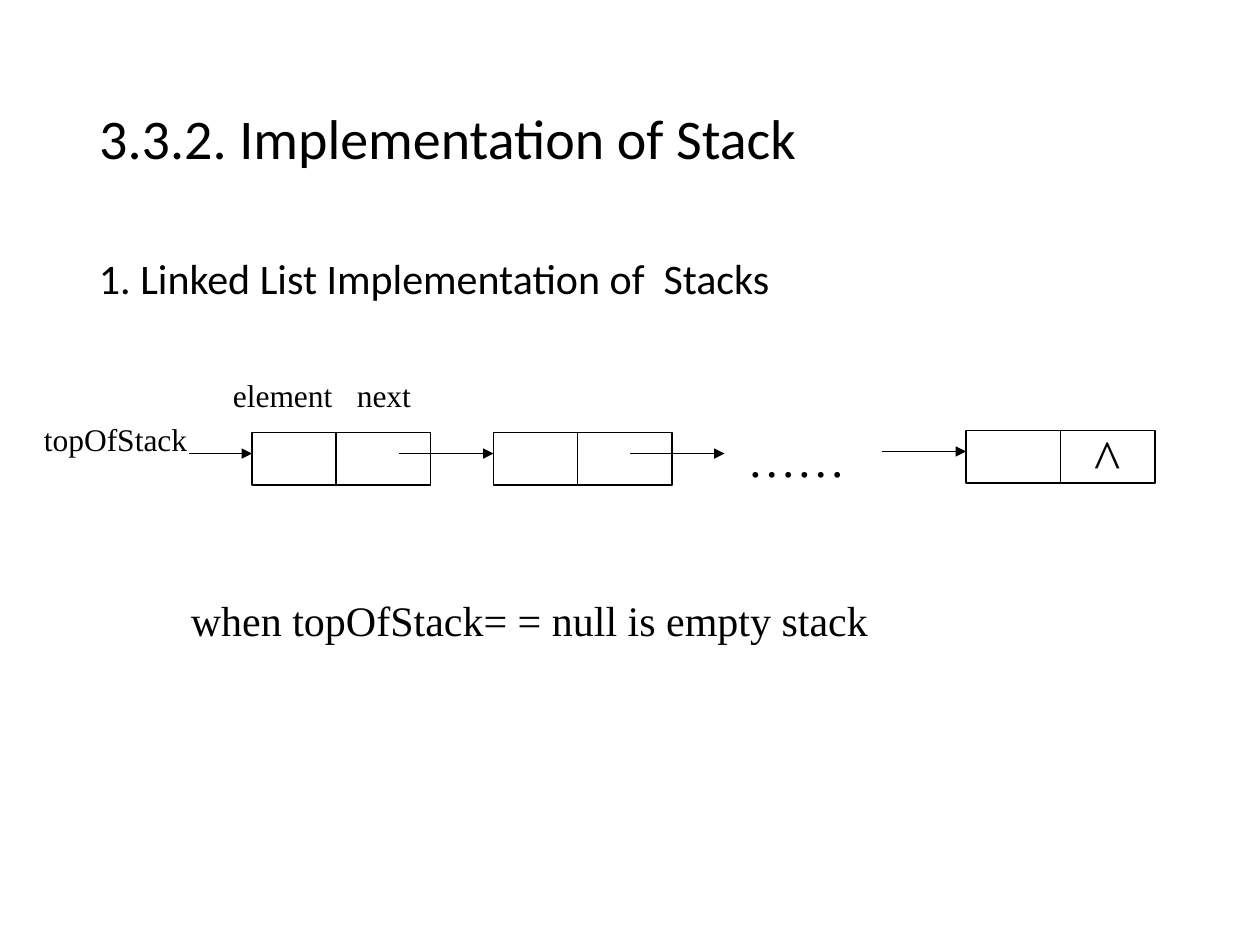
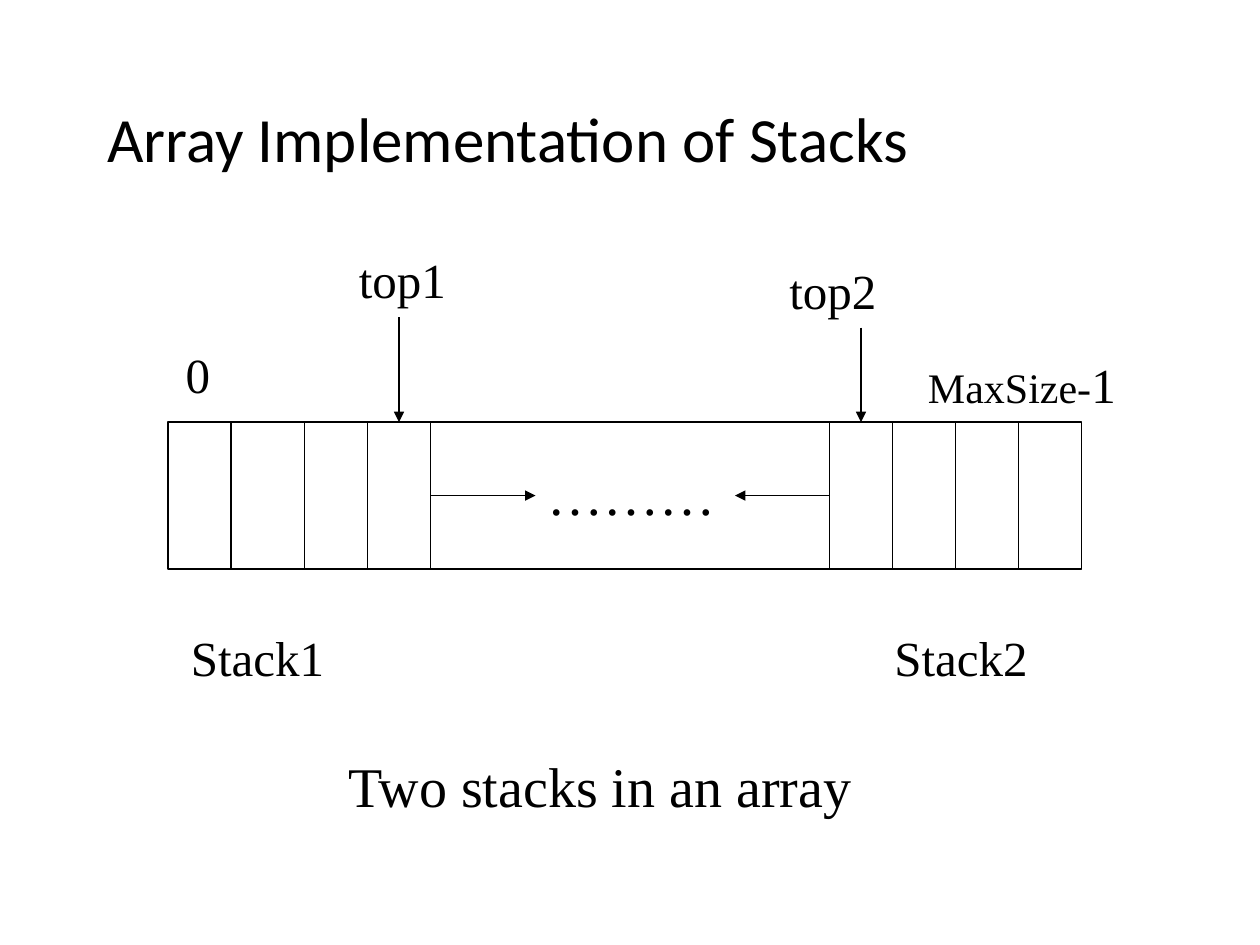
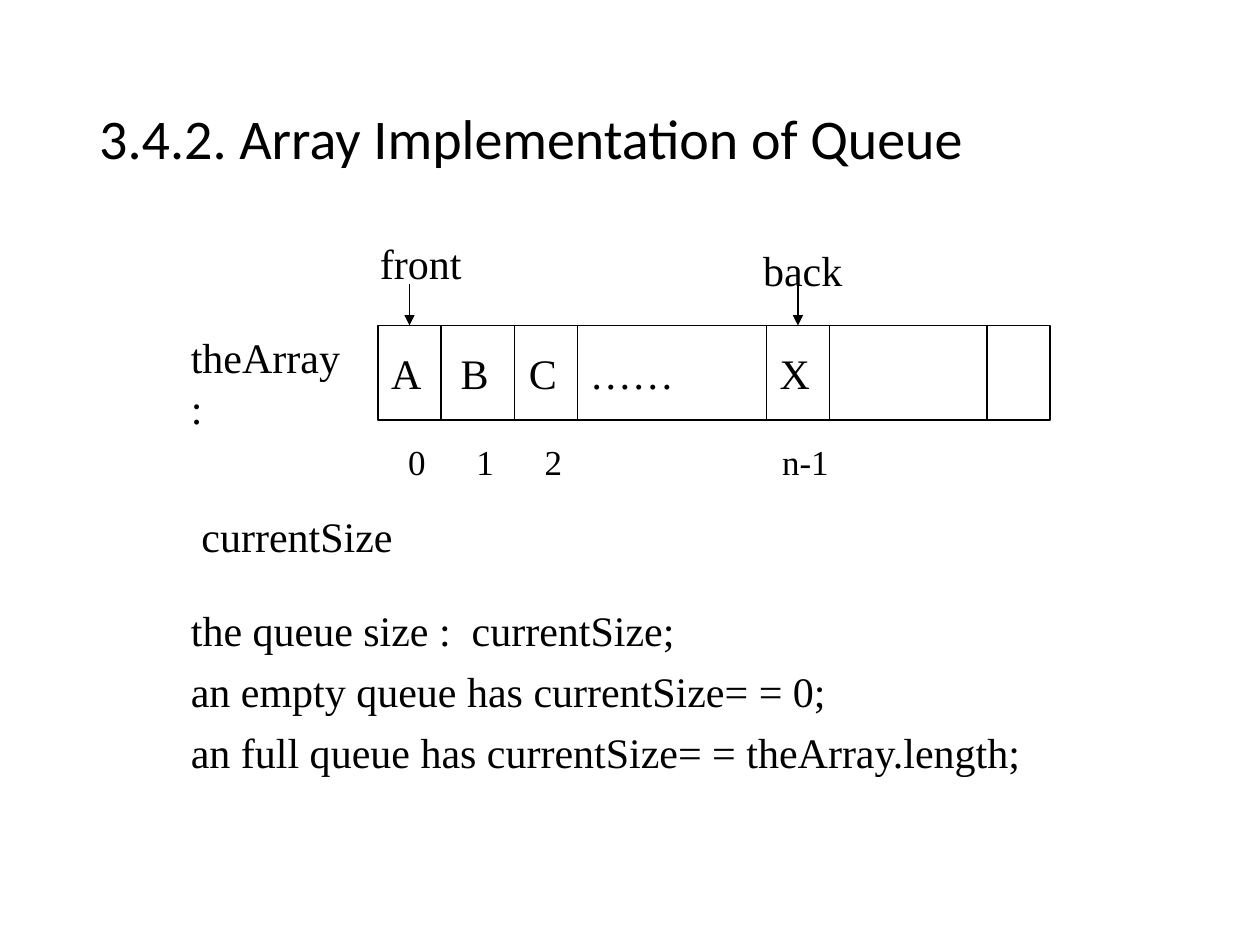
from dataclasses import dataclass
from itertools import accumulate

from lxml import etree
from pptx import Presentation
from pptx.dml.color import RGBColor
from pptx.enum.shapes import MSO_CONNECTOR, MSO_SHAPE
from pptx.enum.text import MSO_ANCHOR, PP_ALIGN
from pptx.oxml.ns import qn
from pptx.util import Inches, Pt

RECT, STRAIGHT = MSO_SHAPE.RECTANGLE, MSO_CONNECTOR.STRAIGHT
LEFT, CENTER = PP_ALIGN.LEFT, PP_ALIGN.CENTER
TOP, MIDDLE = MSO_ANCHOR.TOP, MSO_ANCHOR.MIDDLE
TITLE_ONLY = 5
COLS, ROWS = 120, 90
SLIDE_W, SLIDE_H = Inches(10), Inches(7.5)


@dataclass(frozen=True)
class Theme:
    ink: RGBColor = RGBColor(0, 0, 0)
    heading: str = "Calibri"
    body: str = "Times New Roman"
    big_title: int = 36
    title: int = 32
    large: int = 32
    medium: int = 28
    text: int = 24
    index: int = 20
    small: int = 18
    stroke: float = 0.75
    heading_spacing: float = 0.9


THEME = Theme()


@dataclass(frozen=True)
class Box:
    """An area in grid columns and rows."""
    left: float
    top: float
    width: float
    height: float

    def sub(self, dx, dy, width, height):
        return Box(self.left + dx, self.top + dy, width, height)

    def emu(self):
        return (*point(self.left, self.top), *point(self.width, self.height))


TITLE_BOX = Box(8.25, 4.8, 103.5, 17.4)


def point(col, row):
    return round(SLIDE_W * col / COLS), round(SLIDE_H * row / ROWS)


# Shared parts
def style_runs(p, size, font=THEME.body):
    for r in p.runs:
        r.font.name, r.font.size = font, Pt(size)
        r.font.color.rgb = THEME.ink


def add_slide(prs, title, size=THEME.title, box=TITLE_BOX):
    slide = prs.slides.add_slide(prs.slide_layouts[TITLE_ONLY])
    sp = slide.shapes.title
    sp.left, sp.top, sp.width, sp.height = box.emu()
    tf = sp.text_frame
    tf.text = title
    tf.vertical_anchor = MIDDLE
    p = tf.paragraphs[0]
    p.alignment, p.line_spacing = LEFT, THEME.heading_spacing
    style_runs(p, size, THEME.heading)
    return slide


def add_label(slide, text, box, size, font=THEME.body, align=LEFT, anchor=TOP, wrap=True):
    tf = slide.shapes.add_textbox(*box.emu()).text_frame
    tf.word_wrap, tf.vertical_anchor = wrap, anchor
    tf.text = text
    for p in tf.paragraphs:
        p.alignment = align
        style_runs(p, size, font)
    return tf


def add_line(slide, start, end, arrow=False):
    line = slide.shapes.add_connector(STRAIGHT, *point(*start), *point(*end))
    line.line.color.rgb, line.line.width = THEME.ink, Pt(THEME.stroke)
    if arrow:
        etree.SubElement(line.line._get_or_add_ln(), qn("a:tailEnd"), type="triangle")
    etree.SubElement(line._element.spPr, qn("a:effectLst"))


def add_strip(slide, box, widths):
    """Draw a row of cells and return the box of each cell."""
    sp = slide.shapes.add_shape(RECT, *box.emu())
    sp.shadow.inherit = False
    sp.fill.background()
    sp.line.color.rgb, sp.line.width = THEME.ink, Pt(THEME.stroke)
    starts = [0, *accumulate(widths)][:-1]
    cells = [box.sub(x, 0, w, box.height) for x, w in zip(starts, widths)]
    for cell in cells[1:]:
        add_line(slide, (cell.left, cell.top), (cell.left, cell.top + cell.height))
    return cells


def add_pointer(slide, cell, length):
    x = cell.left + cell.width / 2
    add_line(slide, (x, cell.top - length), (x, cell.top), arrow=True)


# Linked list
def draw_linked_list(slide, box):
    nodes = [(21, 0.2, (8, 9)), (44, 0.2, (8, 9)), (89, 0, (9, 9))]
    for x, y, widths in nodes:
        cells = add_strip(slide, box.sub(x, 6 + y, sum(widths), 5), widths)
    add_label(slide, "^", cells[-1], THEME.large, align=CENTER, anchor=MIDDLE, wrap=False)

    for start, end, y in [(15, 21, 8.2), (35, 44, 8.2), (57, 66, 8.2), (81, 89, 8)]:
        row = box.top + y
        add_line(slide, (box.left + start, row), (box.left + end, row), arrow=True)

    for text, x, y, width, size in [
        ("topOfStack", 0, 4.4, 18, THEME.small),
        ("element", 18, 0.2, 13, THEME.small),
        ("next", 29.8, 0.2, 9, THEME.small),
        ("……", 67, 5.2, 16, THEME.medium),
    ]:
        add_label(slide, text, box.sub(x, y, width, 5), size)


def linked_list_slide(prs):
    slide = add_slide(prs, "3.3.2. Implementation of Stack")
    tf = add_label(slide, "1. Linked List Implementation of  Stacks",
                   Box(8.25, 24, 103.5, 6), THEME.text, THEME.heading)
    tf.paragraphs[0].line_spacing = THEME.heading_spacing
    draw_linked_list(slide, Box(3, 35, 107, 11))
    add_label(slide, "when topOfStack= = null is empty stack",
              Box(17, 56, 83, 6), THEME.text)


# Two stacks growing towards each other
def draw_two_stacks(slide, box):
    cells = add_strip(slide, box, [6, 7, 6, 6, 38, 6, 6, 6, 6])
    top1, gap, top2 = cells[3:6]
    add_pointer(slide, top1, 10)
    add_pointer(slide, top2, 9)

    row = box.top + box.height / 2
    add_line(slide, (gap.left, row), (gap.left + 10, row), arrow=True)
    add_line(slide, (top2.left, row), (top2.left - 9, row), arrow=True)

    for text, x, y, width, size in [
        ("0", 0.5, -8, 6, THEME.medium),
        ("top1", 17, -17, 12, THEME.medium),
        ("top2", 58, -16, 14, THEME.medium),
        ("Stack1", 1, 19, 27, THEME.medium),
        ("Stack2", 68, 19, 24, THEME.medium),
        ("………", 35, 3, 22, THEME.large),
    ]:
        add_label(slide, text, box.sub(x, y, width, 7), size)

    p = add_label(slide, "MaxSize-", box.sub(71.2, -7, 22, 7), THEME.text).paragraphs[0]
    r = p.add_run()
    r.text = "1"
    style_runs(p, THEME.text)
    r.font.size = Pt(THEME.medium)


def two_stacks_slide(prs):
    slide = add_slide(prs, "Array Implementation of Stacks", THEME.big_title,
                      Box(9, 8, 102, 11))
    draw_two_stacks(slide, Box(16, 40.2, 87, 14))
    add_label(slide, "Two stacks in an array", Box(32, 71, 66, 7.6), THEME.large)


# Queue held in an array
def draw_queue(slide, box):
    cells = add_strip(slide, box, [6, 7, 6, 18, 6, 15, 6])
    dots = cells[3]
    items = [*cells[:3], cells[4]]
    add_label(slide, "……", dots, THEME.text, anchor=MIDDLE, wrap=False)
    for item, index, cell in zip("ABCX", ["0", "1", "2", "n-1"], items):
        add_label(slide, item, cell.sub(-0.3, 0, cell.width, cell.height), THEME.text,
                  align=CENTER, anchor=MIDDLE, wrap=False)
        # Index boxes reach past the cell so that each number stays on one line
        add_label(slide, index, cell.sub(-1.3, 10.4, cell.width + 4, 5), THEME.index,
                  align=CENTER)
    for cell in (items[0], items[-1]):
        add_pointer(slide, cell, 4)

    for text, x, y, width in [("theArray:", -19, 0, 17), ("front", -1, -9, 13),
                              ("back", 35.5, -8.3, 12), ("currentSize", -18, 17, 22)]:
        add_label(slide, text, box.sub(x, y, width, 6), THEME.text)


def queue_slide(prs):
    slide = add_slide(prs, "3.4.2. Array Implementation of Queue")
    draw_queue(slide, Box(36, 31, 64, 9))
    rules = ["the queue size :  currentSize;",
             "an empty queue has currentSize= = 0;",
             "an full queue has currentSize= = theArray.length;"]
    tf = add_label(slide, "\n".join(rules), Box(17, 57, 94, 18), THEME.text)
    for p in tf.paragraphs:
        p.space_before = Pt(6)


def main():
    prs = Presentation()
    prs.slide_width, prs.slide_height = SLIDE_W, SLIDE_H
    linked_list_slide(prs)
    two_stacks_slide(prs)
    queue_slide(prs)
    prs.save("out.pptx")


if __name__ == "__main__":
    main()
